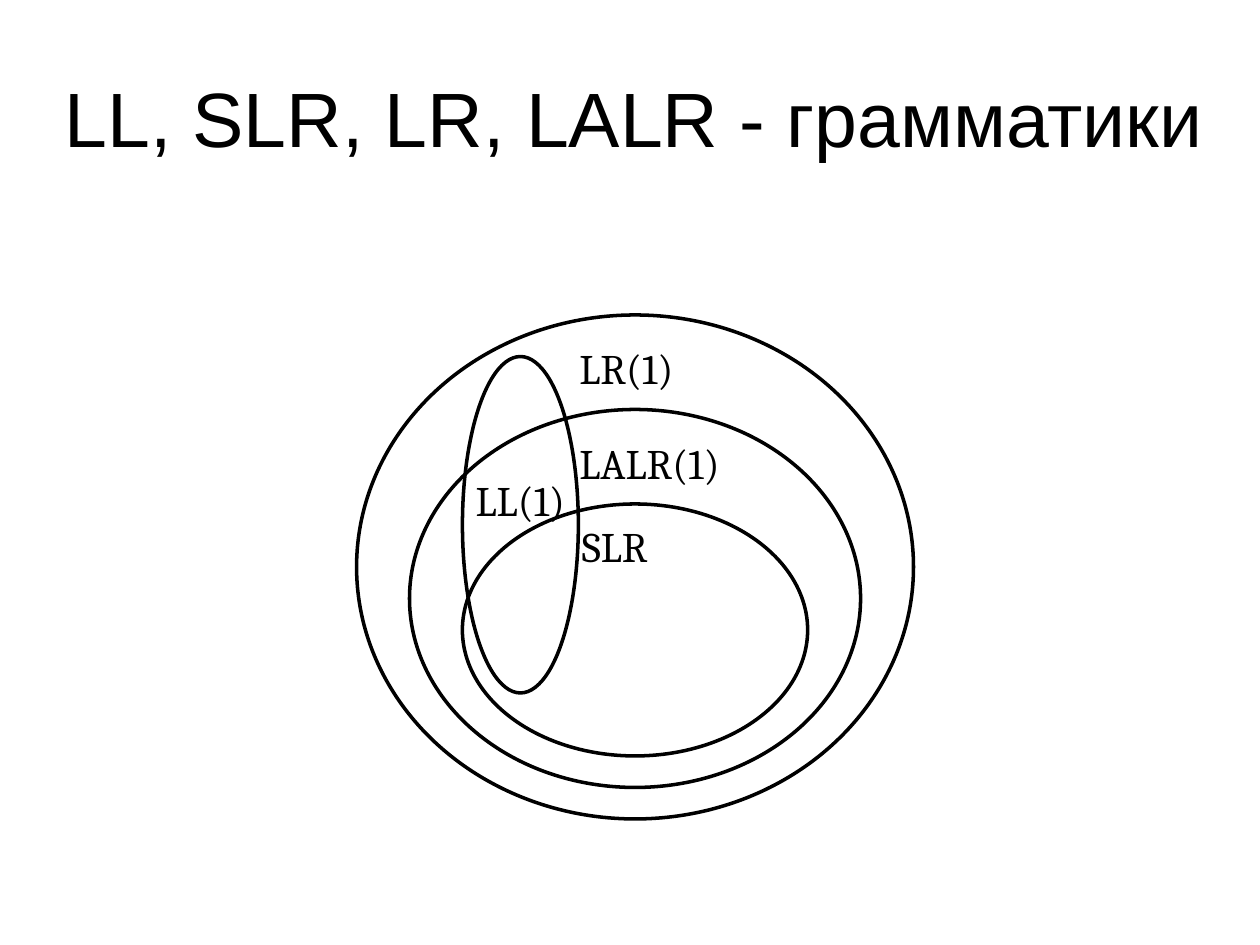
from pptx import Presentation
from pptx.dml.color import RGBColor
from pptx.enum.shapes import MSO_SHAPE
from pptx.enum.text import MSO_ANCHOR, MSO_AUTO_SIZE, PP_ALIGN
from pptx.util import Inches, Pt

BLACK = RGBColor(0x00, 0x00, 0x00)
TITLE_FONT = {"name": "Arial", "size": Pt(44)}
LABEL_FONT = {"name": "Cambria", "size": Pt(24)}

# Nested sets from outermost to innermost: name, label left, top and width in the diagram
NESTED_SETS = [
    ("LR(1)", 1.67, 0.17, 1.02),
    ("LALR(1)", 1.67, 0.92, 1.46),
    ("SLR", 1.69, 1.58, 0.81),
]
SIDE_STEP, TOP_STEP, BOTTOM_STEP = 0.42, 0.75, 0.25


def write_text(text_frame, text, font_format, alignment):
    paragraph = text_frame.paragraphs[0]
    paragraph.alignment = alignment
    run = paragraph.add_run()
    run.text = text
    for attribute, value in font_format.items():
        setattr(run.font, attribute, value)
    run.font.color.rgb = BLACK


def add_title(slide, left, top, width, height):
    title = slide.shapes.title
    box = {"left": left, "top": top, "width": width, "height": height}
    for attribute, value in box.items():
        setattr(title, attribute, Inches(value))
    title.text_frame.vertical_anchor = MSO_ANCHOR.MIDDLE
    title.text_frame.auto_size = MSO_AUTO_SIZE.NONE
    write_text(title.text_frame, "LL, SLR, LR, LALR - грамматики", TITLE_FONT, PP_ALIGN.CENTER)


def add_set_outline(slide, left, top, width, height):
    ellipse = slide.shapes.add_shape(
        MSO_SHAPE.OVAL, Inches(left), Inches(top), Inches(width), Inches(height))
    ellipse.shadow.inherit = False
    ellipse.fill.background()
    ellipse.line.color.rgb = BLACK
    ellipse.line.width = Pt(2)
    return ellipse


def add_set_label(slide, text, left, top, width):
    label = slide.shapes.add_textbox(Inches(left), Inches(top), Inches(width), Inches(0.5))
    label.text_frame.word_wrap = False
    label.text_frame.auto_size = MSO_AUTO_SIZE.SHAPE_TO_FIT_TEXT
    write_text(label.text_frame, text, LABEL_FONT, PP_ALIGN.LEFT)


def add_grammar_diagram(slide, left, top, width, height):
    """Draw the nested LR classes inside the box, crossed by the narrow LL(1) class."""
    for level, (name, label_left, label_top, label_width) in enumerate(NESTED_SETS):
        add_set_outline(
            slide,
            left + level * SIDE_STEP,
            top + level * TOP_STEP,
            width - 2 * level * SIDE_STEP,
            height - level * (TOP_STEP + BOTTOM_STEP))
        add_set_label(slide, name, left + label_left, top + label_top, label_width)

    ll_set = add_set_outline(slide, left + 2 * SIDE_STEP, top + 0.33, 0.92, 2.67)
    text_frame = ll_set.text_frame
    text_frame.word_wrap = False
    text_frame.vertical_anchor = MSO_ANCHOR.MIDDLE
    text_frame.margin_bottom = Inches(0.44)  # lifts the name above the centre
    write_text(text_frame, "LL(1)", LABEL_FONT, PP_ALIGN.CENTER)


def main():
    presentation = Presentation()
    presentation.slide_width = Inches(10)
    presentation.slide_height = Inches(7.5)
    slide = presentation.slides.add_slide(presentation.slide_layouts[5])
    add_title(slide, 0.35, 0.14, 9.37, 1.57)
    add_grammar_diagram(slide, 2.83, 2.5, 4.42, 4)
    presentation.save("out.pptx")


if __name__ == "__main__":
    main()
